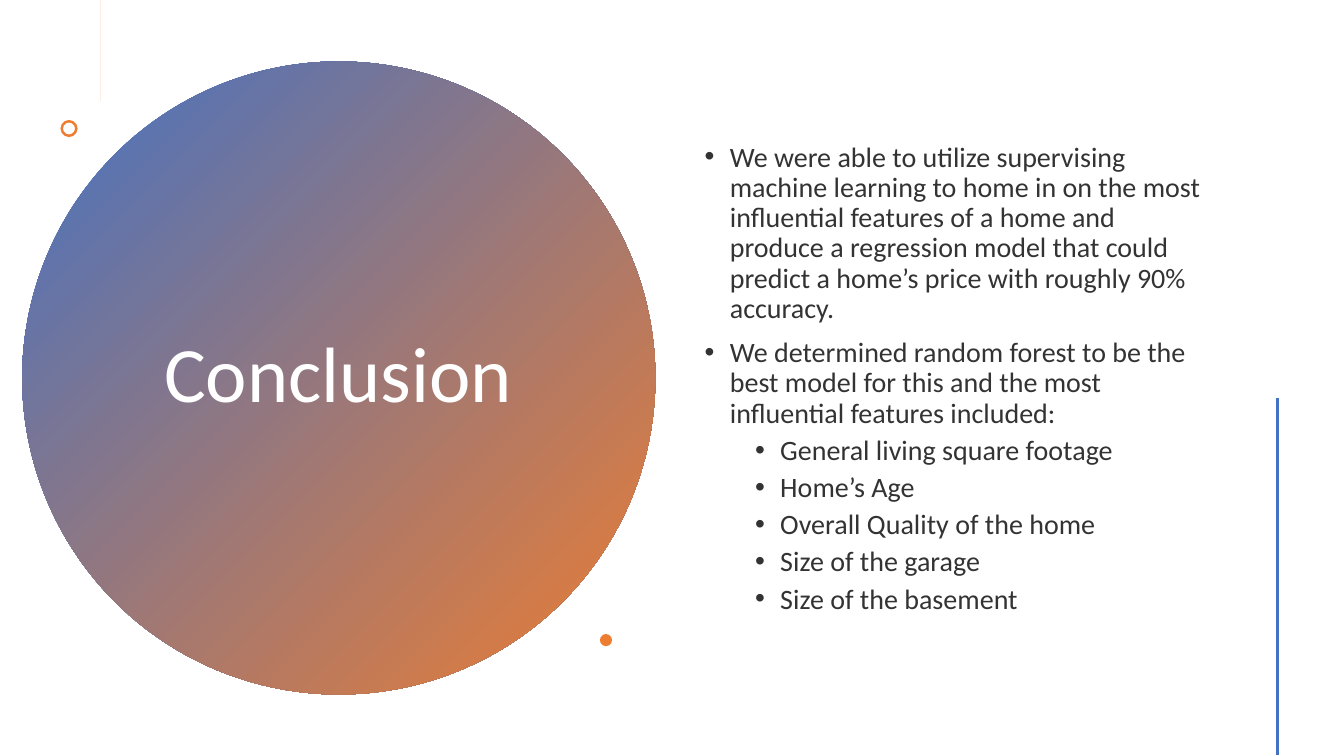
import math
import pptx
import pptx.util
import pptx.dml.color
import pptx.enum.shapes
import pptx.enum.text
import pptx.oxml
import pptx.oxml.ns
from lxml import etree

Inches, Pt = pptx.util.Inches, pptx.util.Pt
Shape = pptx.enum.shapes.MSO_SHAPE
Align = pptx.enum.text.PP_ALIGN

# Content: (level, text)
TITLE = "Conclusion"
POINTS = [
    (0, "We were able to utilize supervising machine learning to home in on the "
        "most influential features of a home and produce a regression model that "
        "could predict a home’s price with roughly 90% accuracy."),
    (0, "We determined random forest to be the best model for this and the most "
        "influential features included:"),
    (1, "General living square footage"),
    (1, "Home’s Age"),
    (1, "Overall Quality of the home"),
    (1, "Size of the garage"),
    (1, "Size of the basement"),
]

# Places: left, top, width, height
DISC = (0.22, 0.61, 6.28, 6.28)
HEAD = (1.36, 1.41, 3.99, 4.67)
BODY = (6.89, 0.57, 5.22, 6.38)
RING = (0.6, 1.19, 0.17, 0.17)
DOT = (5.95, 6.29, 0.12, 0.12)
PLUS = (1.325, 0.505, 0.095, 0.014)  # centre x, centre y, reach, half width
RULE = (12.67, 3.95, 12.67, 7.49)    # from x, y to x, y

THEME = {
    "font": "Calibri", "title": 56, "body": 20, "rule": 2,
    "blue": "4472C4", "orange": "ED7D31", "white": "FFFFFF", "ink": "333333",
}


def tint(name):
    return pptx.dml.color.RGBColor.from_string(THEME[name])


def plain(shape, color="orange"):
    shape.shadow.inherit = False
    shape.line.fill.background()
    shape.fill.solid()
    shape.fill.fore_color.rgb = tint(color)
    return shape


def add_form(slide, kind, box):
    return plain(slide.shapes.add_shape(kind, *map(Inches, box)))


def add_box(slide, box):
    frame = slide.shapes.add_textbox(*map(Inches, box)).text_frame
    frame.word_wrap = True
    frame.vertical_anchor = pptx.enum.text.MSO_ANCHOR.MIDDLE
    return frame


def style(par, size, color):
    par.line_spacing = 0.9
    font = par.runs[0].font
    font.name, font.size = THEME["font"], Pt(THEME[size])
    font.color.rgb = tint(color)


def add_bullet(par, level):
    par.level = level
    props = par._p.get_or_add_pPr()
    props.set("marL", str(Inches(0.25 + 0.5 * level)))
    props.set("indent", str(Inches(-0.25)))
    for tag, key, value in (("a:buFont", "typeface", "Arial"),
                            ("a:buChar", "char", "•")):
        etree.SubElement(props, pptx.oxml.ns.qn(tag)).set(key, value)


def add_plus(slide, x, y, reach, half):
    # Each arm ends in a half circle; the last point is the inner corner
    arm = [(reach - half + half * math.cos(a), half * math.sin(a))
           for a in (math.radians(d) for d in range(-90, 91, 15))]
    arm.append((half, half))
    dots = []
    for turn in range(4):
        c, s = math.cos(turn * math.pi / 2), math.sin(turn * math.pi / 2)
        dots += [(x + u * c - v * s, y + u * s + v * c) for u, v in arm]
    form = slide.shapes.build_freeform(*dots[0], scale=Inches(1))
    form.add_line_segments(dots[1:], close=True)
    plain(form.convert_to_shape())


def main():
    deck = pptx.Presentation()
    deck.slide_width, deck.slide_height = Inches(13.33), Inches(7.5)
    slide = deck.slides.add_slide(deck.slide_layouts[6])

    # Gradient disc
    disc = add_form(slide, Shape.OVAL, DISC)
    disc.fill.gradient()
    disc.fill.gradient_angle = 315
    for stop, name in zip(disc.fill.gradient_stops, ("blue", "orange")):
        stop.color.rgb = tint(name)

    # Title
    frame = add_box(slide, HEAD)
    frame.text = TITLE
    head = frame.paragraphs[0]
    head.alignment = Align.CENTER
    style(head, "title", "white")

    # Small ornaments
    add_plus(slide, *PLUS)
    ring = add_form(slide, Shape.DONUT, RING)
    ring.adjustments[0] = 0.15
    add_form(slide, Shape.OVAL, DOT)

    # Bullets
    frame = add_box(slide, BODY)
    frame.text = "\n".join(text for _, text in POINTS)
    for par, (level, _) in zip(frame.paragraphs, POINTS):
        style(par, "body", "ink")
        par.space_before = Pt(5 if level else 10)
        add_bullet(par, level)

    # Rule at the right
    rule = slide.shapes.add_connector(
        pptx.enum.shapes.MSO_CONNECTOR.STRAIGHT, *map(Inches, RULE))
    rule.line.color.rgb = tint("blue")
    rule.line.width = Pt(THEME["rule"])
    etree.SubElement(rule._element.spPr, pptx.oxml.ns.qn("a:effectLst"))

    deck.save("out.pptx")


if __name__ == "__main__":
    main()
